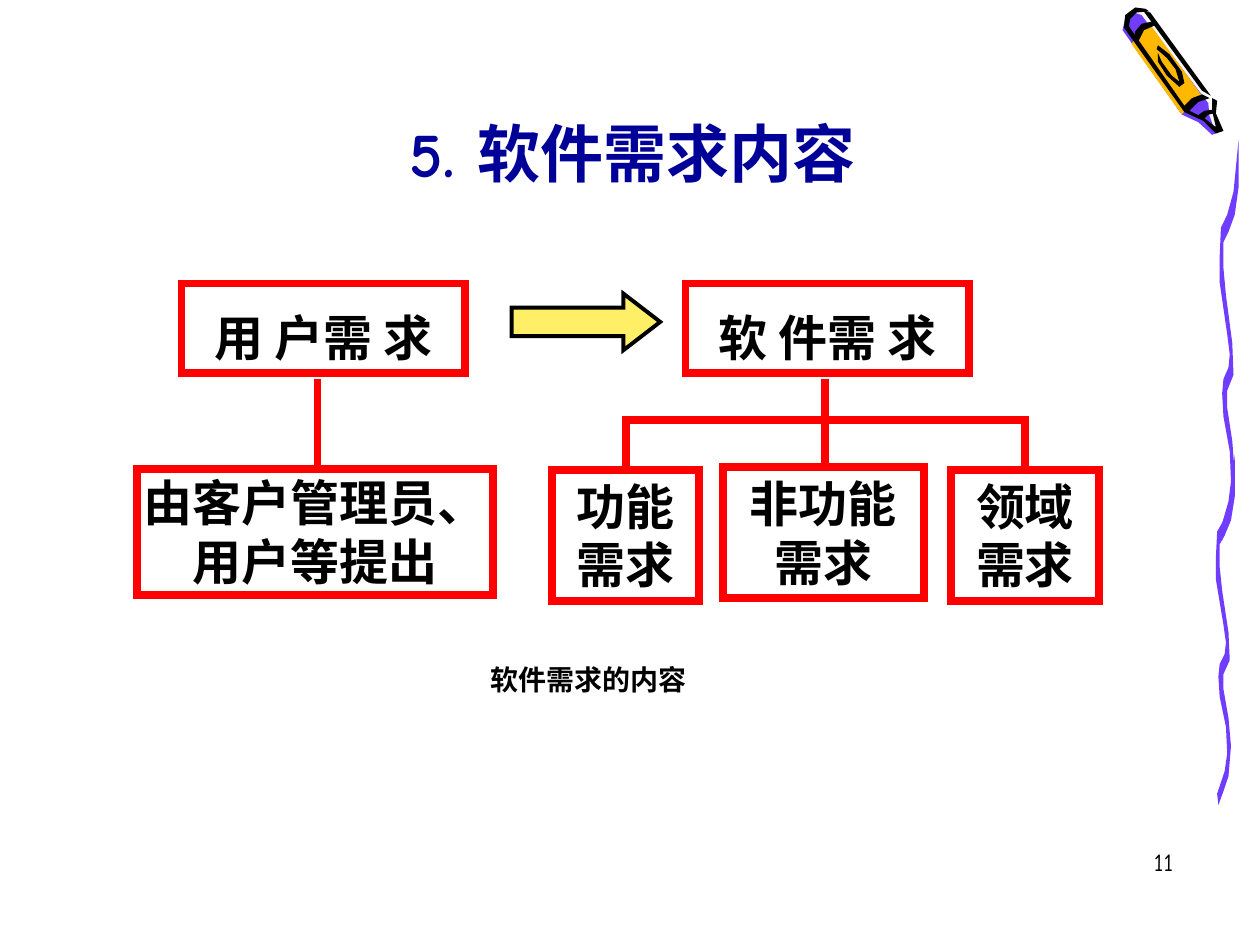
from pptx import Presentation
from pptx import util as u
from pptx.dml.color import RGBColor
from pptx.enum import shapes, text
from pptx.oxml.ns import qn
from lxml import etree

COLORS = {"red": "FF0000", "black": "000000", "navy": "000099", "purple": "703DFF",
          "orange": "FFB800", "yellow": "FFEF66", "pale": "F8F8F8"}
CJK, LATIN, COMIC = "Noto Sans CJK JP", "Times New Roman", "Comic Neue"

prs = Presentation()
prs.slide_width, prs.slide_height = u.Inches(10), u.Inches(7.5)
COL = prs.slide_width // 20     # 20 columns by 15 rows of square cells
HALF_LINE = 0.06                # half of a 4.5 pt line, in cells

# Outlines in hundredths of an inch from the corner of the ribbon or crayon
RIBBON = [(1, 269), (7, 251), (9, 237), (8, 216), (3, 192), (2, 176), (3, 166), (7, 158),
          (8, 149), (6, 135), (0, 99), (0, 81), (1, 61), (6, 52), (11, 36), (15, 0),
          (15, 33), (12, 52), (7, 64), (3, 71), (3, 89), (5, 108), (10, 141), (11, 163),
          (6, 174), (6, 186), (10, 209), (12, 231), (10, 255), (6, 267), (2, 278)]
CRAYON = [
    ("pale", [(77, 96), (72, 82), (61, 60), (18, 3), (11, 1), (5, 6), (3, 16), (50, 82),
              (65, 89), (75, 98)]),
    ("purple", [(15, 6), (68, 76), (69, 86), (74, 100), (71, 101), (60, 91), (47, 85),
                (0, 18), (2, 9), (9, 4)]),
    ("orange", [(7, 29), (47, 85), (55, 75), (65, 73), (23, 15), (14, 19)]),
    ("black", [(72, 81), (65, 82), (59, 86), (65, 88), (68, 85), (73, 84)]),
    ("black", [(18, 1), (10, 0), (2, 6), (1, 16), (49, 83), (64, 90), (74, 100), (80, 98),
               (74, 84), (75, 74), (71, 72), (71, 82), (74, 95), (65, 88), (53, 82),
               (60, 75), (69, 72), (63, 69), (55, 72), (49, 78), (5, 15), (6, 9), (11, 4),
               (21, 3)]),
    ("black", [(22, 4), (70, 70), (63, 66), (16, 2)]),
    ("black", [(24, 11), (15, 13), (10, 19), (9, 24), (12, 28), (17, 18), (26, 14)]),
    ("black", [(27, 33), (35, 40), (42, 49), (45, 59), (39, 54), (31, 43), (28, 36),
               (28, 43), (35, 54), (45, 63), (49, 60), (47, 51), (37, 37), (28, 30)]),
]


def cells(*values):
    return [round(v * COL) for v in values]


def rgb(name):
    return RGBColor.from_string(COLORS[name])


def write(tf, words, size, font=CJK, color="black", bold=True,
          align=text.PP_ALIGN.CENTER, spacing=None):
    tf.word_wrap = True
    tf.text = words
    for p in tf.paragraphs:
        p.alignment = align
        if spacing:
            p.line_spacing = spacing
        for r in p.runs:
            r.font.size, r.font.bold, r.font.name = u.Pt(size), bold, font
            r.font.color.rgb = rgb(color)
            etree.SubElement(r.font._element, qn("a:ea")).set("typeface", CJK)


def outline(s, points, color, left, top, y_scale=1.0):
    """Closed filled outline whose points are measured from left, top (cells)."""
    unit = COL / 50
    fb = s.shapes.build_freeform(*points[0], scale=(unit, unit * y_scale))
    fb.add_line_segments(points[1:], close=True)
    sp = fb.convert_to_shape(*cells(left, top))
    sp.shadow.inherit = False
    sp.fill.solid()
    sp.fill.fore_color.rgb = rgb(color)
    sp.line.fill.background()


def stroke(sp, color, width):
    """Solid line with sharp corners."""
    sp.line.color.rgb, sp.line.width = rgb(color), u.Pt(width)
    etree.SubElement(sp.line._get_or_add_ln(), qn("a:miter")).set("lim", "800000")


def line(s, x1, y1, x2, y2):
    c = s.shapes.add_connector(shapes.MSO_CONNECTOR.STRAIGHT, *cells(x1, y1, x2, y2))
    stroke(c, "red", 4.5)
    etree.SubElement(c._element.spPr, qn("a:effectLst"))


def box(s, words, x, y, w, h, spacing=None, font=CJK, anchor=text.MSO_ANCHOR.TOP):
    sp = s.shapes.add_shape(shapes.MSO_SHAPE.RECTANGLE, *cells(x, y, w, h))
    sp.shadow.inherit = False
    sp.fill.background()
    stroke(sp, "red", 4.5)
    write(sp.text_frame, words, 28, font, spacing=spacing)
    sp.text_frame.vertical_anchor = anchor
    return sp


def label(s, words, x, y, w, h, size, **style):
    tb = s.shapes.add_textbox(*cells(x, y, w, h))
    write(tb.text_frame, words, size, **style)


def decoration(s):
    # Wavy ribbon drawn twice, the upper one stretched, then the crayon
    outline(s, RIBBON, "purple", 19.3, 7.22)
    outline(s, RIBBON, "purple", 19.36, 2.22, 1.144)
    for color, points in CRAYON:
        outline(s, points, color, 17.82, 0.12)


def user_branch(s, x, y):
    box(s, "用 户需 求", x + 0.7, y, 4.5, 1.42, spacing=1.3)
    line(s, x + 2.86, y + 1.52, x + 2.86, y + 2.98)
    sp = box(s, "由客户管理员、\n用户等提出", x, y + 2.94, 5.64, 2, font=LATIN,
             anchor=text.MSO_ANCHOR.MIDDLE)
    sp.text_frame.word_wrap = False


def software_branch(s, x, y):
    box(s, "软 件需 求", x + 2.12, y, 4.5, 1.42, spacing=1.3)
    children = [("功能需求", 0, 2.96, 2.34), ("非功能需求", 2.71, 2.92, 3.2),
                ("领域需求", 6.34, 2.96, 2.34)]
    for words, dx, dy, w in children:
        box(s, words, x + dx, y + dy, w, 2.08)
    # Bar over the children, side drops and the centre stem
    bar = y + 2.16
    first, last = (x + dx + w / 2 for _, dx, _, w in (children[0], children[-1]))
    line(s, first - HALF_LINE, bar, last + HALF_LINE, bar)
    for drop in (first, last):
        line(s, drop, bar, drop, y + 2.96)
    line(s, x + 4.34, y + 1.52, x + 4.34, y + 2.94)


def arrow(s, x, y, w, h):
    sp = s.shapes.add_shape(shapes.MSO_SHAPE.RIGHT_ARROW, *cells(x, y, w, h))
    sp.adjustments[0], sp.adjustments[1] = 0.5, 0.65
    sp.shadow.inherit = False
    sp.fill.solid()
    sp.fill.fore_color.rgb = rgb("yellow")
    stroke(sp, "black", 2.25)


def title(s, words, x, y, w, h):
    sp = s.shapes.title
    sp.left, sp.top, sp.width, sp.height = cells(x, y, w, h)
    write(sp.text_frame, words, 36, COMIC, "navy")
    sp.text_frame.vertical_anchor = text.MSO_ANCHOR.BOTTOM


s = prs.slides.add_slide(prs.slide_layouts[5])
decoration(s)
title(s, "5. 软件需求内容", 1.54, 0.62, 17, 2.5)
user_branch(s, 2.18, 4.5)
arrow(s, 8.12, 4.66, 2.36, 0.9)
software_branch(s, 8.76, 4.5)
label(s, "软件需求的内容", 5.26, 10.42, 8.16, 0.74, 16, font=LATIN)
label(s, "11", 14.66, 13.34, 4.16, 1, 14, font=COMIC, bold=False,
      align=text.PP_ALIGN.RIGHT)
prs.save("out.pptx")
